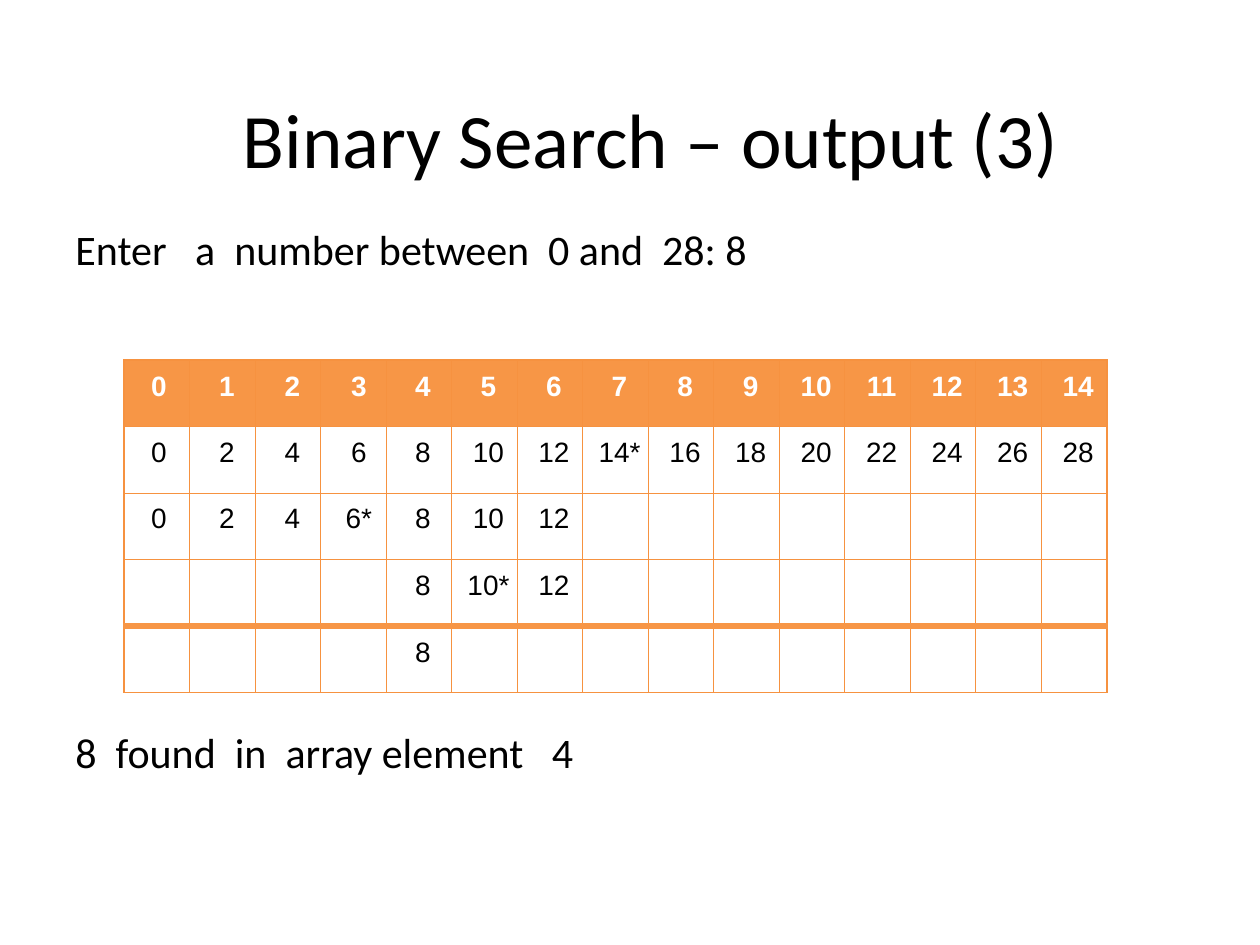
from lxml.etree import SubElement
from pptx import Presentation
from pptx.dml.color import RGBColor
from pptx.enum.text import MSO_ANCHOR, PP_ALIGN
from pptx.oxml.ns import qn
from pptx.util import Emu, Pt

EMU_PER_PIXEL = 914400 // 126
BLACK = RGBColor(0x00, 0x00, 0x00)
WHITE = RGBColor(0xFF, 0xFF, 0xFF)
ORANGE = RGBColor(0xF7, 0x96, 0x46)
GRID_ORANGE = RGBColor(0xF6, 0x92, 0x40)

COLUMNS = 15
SEARCH_ROWS = [
    [str(index) for index in range(COLUMNS)],
    "0 2 4 6 8 10 12 14* 16 18 20 22 24 26 28".split(),
    "0 2 4 6* 8 10 12".split() + [""] * 8,
    [""] * 4 + ["8", "10*", "12"] + [""] * 8,
    [""] * 4 + ["8"] + [""] * 10,
]
THICK_EDGES = {(3, "lnB"), (4, "lnT")}
COLUMN_INDENTS = {0: 4, 1: 9, 2: 9, 3: 11}
DEFAULT_INDENT = 8


def px(pixels):
    """Turn pixels into EMU."""
    return Emu(pixels * EMU_PER_PIXEL)


def style_paragraph(paragraph, font_name, size, color, bold=False):
    """Format every run of a paragraph."""
    for span in paragraph.runs:
        span.font.name = font_name
        span.font.size = Pt(size)
        span.font.color.rgb = color
        span.font.bold = bold


def add_text(page, frame, lines, size, align, anchor, gap=0):
    """Add a text box whose later lines are set apart by a gap in points."""
    box = page.shapes.add_textbox(*map(px, frame))
    text_frame = box.text_frame
    text_frame.word_wrap = True
    text_frame.vertical_anchor = anchor
    text_frame.text = "\n".join(lines)
    for number, paragraph in enumerate(text_frame.paragraphs):
        paragraph.alignment = align
        paragraph.space_before = Pt(gap if number else 0)
        style_paragraph(paragraph, "Calibri", size, BLACK)


def set_border(cell, edge, color, width):
    """Draw one edge of a table cell."""
    properties = cell._tc.get_or_add_tcPr()
    line = SubElement(properties, qn("a:" + edge), w=str(Pt(width)))
    fill = SubElement(line, qn("a:solidFill"))
    SubElement(fill, qn("a:srgbClr"), val=str(color))


def format_cell(cell, row, column, text):
    """Fill in one cell of the search table."""
    for edge in ("lnL", "lnR", "lnT", "lnB"):
        thick = (row, edge) in THICK_EDGES
        set_border(cell, edge, ORANGE if thick else GRID_ORANGE, 4 if thick else 0.75)
    if row == 0:
        cell.fill.solid()
        cell.fill.fore_color.rgb = ORANGE
    else:
        cell.fill.background()
    cell.margin_left = cell.margin_right = cell.margin_top = cell.margin_bottom = 0
    cell.vertical_anchor = MSO_ANCHOR.MIDDLE
    if not text:
        return
    cell.text_frame.text = text
    paragraph = cell.text_frame.paragraphs[0]
    paragraph.alignment = PP_ALIGN.CENTER
    paragraph.line_spacing = Pt(10.1 if row < 2 else 9.6)
    paragraph.space_before = Pt(4.1 if row < 2 else 0)
    indent = px(COLUMN_INDENTS.get(column, DEFAULT_INDENT))
    paragraph_properties = paragraph._p.get_or_add_pPr()
    paragraph_properties.set("marL", str(indent))
    paragraph_properties.set("indent", "0")
    style_paragraph(paragraph, "Arial", 16, BLACK if row else WHITE, bold=row == 0)


def add_search_table(page, frame, rows):
    """Add the table that shows each step of the search."""
    left, top, width, height = map(px, frame)
    table = page.shapes.add_table(len(rows), COLUMNS, left, top, width, height).table
    table.horz_banding = False
    table.first_row = False
    for column in table.columns:
        column.width = width // COLUMNS
    for row_number, values in enumerate(rows):
        table.rows[row_number].height = height // len(rows)
        for column_number, text in enumerate(values):
            cell = table.cell(row_number, column_number)
            format_cell(cell, row_number, column_number, text)


def main():
    """Build the slide and save it."""
    deck = Presentation()
    deck.slide_width, deck.slide_height = px(1260), px(945)
    page = deck.slides.add_slide(deck.slide_layouts[6])
    dialogue = [
        "Enter   a  number between  0 and  28: 8",
        "8  found  in  array element   4",
    ]
    add_text(page, (63, 217, 1134, 693), dialogue, 24,
             PP_ALIGN.LEFT, MSO_ANCHOR.TOP, gap=259)
    add_text(page, (84, 59, 1134, 158), ["Binary Search – output (3)"], 44,
             PP_ALIGN.CENTER, MSO_ANCHOR.MIDDLE)
    add_search_table(page, (124, 360, 983, 333), SEARCH_ROWS)
    deck.save("out.pptx")


main()
